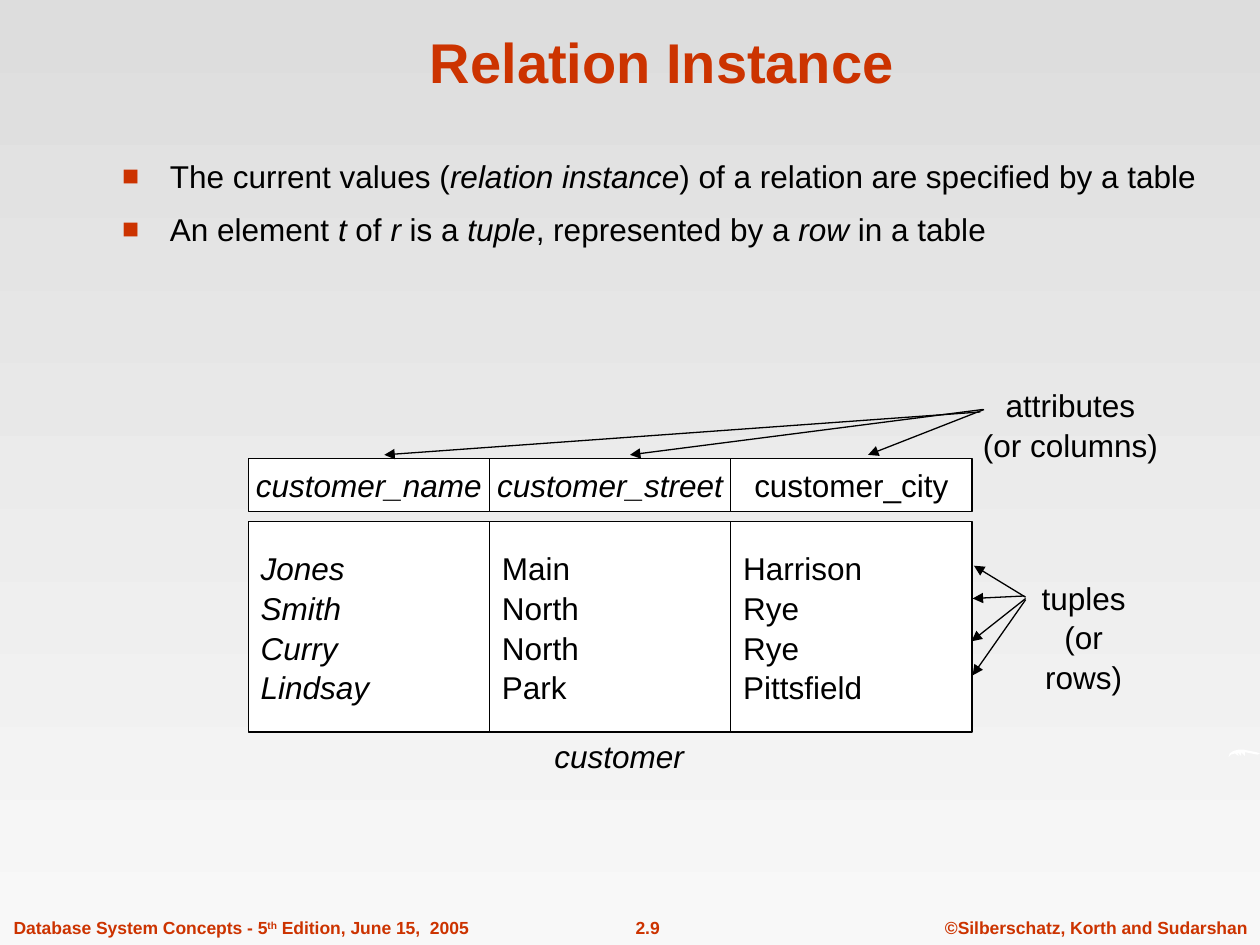
from dataclasses import dataclass

from lxml import etree
from pptx import Presentation, util as u
from pptx.dml.color import RGBColor
from pptx.enum import shapes, text
from pptx.oxml.ns import qn


@dataclass(frozen=True)
class Theme:
    font: str = "Arial"
    accent: RGBColor = RGBColor(0xCC, 0x33, 0x00)
    ink: RGBColor = RGBColor(0, 0, 0)
    paper: RGBColor = RGBColor(255, 255, 255)
    top: RGBColor = RGBColor(0xDD, 0xDD, 0xDD)
    bottom: RGBColor = RGBColor(0xF8, 0xF8, 0xF8)
    title_size: int = 32
    body_size: int = 18
    footer_size: int = 10
    line_width: float = 0.75
    spacing: float = 1.05


THEME = Theme()
BODY = {"size": u.Pt(THEME.body_size), "color": THEME.ink}
ITALIC = {**BODY, "italic": True}
TITLE = {"size": u.Pt(THEME.title_size), "color": THEME.accent, "bold": True}
FOOTER = {**TITLE, "size": u.Pt(THEME.footer_size)}
CENTER = text.PP_ALIGN.CENTER
LEFT = text.PP_ALIGN.LEFT
MIDDLE = text.MSO_ANCHOR.MIDDLE

COLUMNS = [
    ("customer_name", ["Jones", "Smith", "Curry", "Lindsay"], ITALIC, ITALIC),
    ("customer_street", ["Main", "North", "North", "Park"], ITALIC, BODY),
    ("customer_city", ["Harrison", "Rye", "Rye", "Pittsfield"], BODY, BODY),
]
TABLE_LEFT, COLUMN_WIDTH = 1.97, 1.915
ARROWS = [
    (7.78, 3.27, 3.05, 3.61),
    (7.8, 3.25, 5, 3.61),
    (7.81, 3.25, 6.89, 3.61),
    (8.14, 4.74, 7.73, 4.49),
    (8.13, 4.73, 7.72, 4.75),
    (8.14, 4.75, 7.71, 5.09),
    (8.14, 4.76, 7.72, 5.36),
]
BULLETS = [
    [("The current values (", BODY), ("relation instance", ITALIC),
     (") of a relation are specified by a table", BODY)],
    [("An element ", BODY), ("t", ITALIC), (" of ", BODY), ("r", ITALIC),
     (" is a ", BODY), ("tuple", ITALIC), (", represented by a ", BODY),
     ("row ", ITALIC), ("in a table", BODY)],
]
SWOOSH = [
    (9.75, 6.01), (9.76, 5.98), (9.79, 5.96), (9.83, 5.95), (9.87, 5.95),
    (9.92, 5.96), (9.97, 5.97), (10, 5.98), (9.98, 5.99), (9.93, 5.98),
    (9.88, 5.97), (9.88, 6), (9.85, 5.97), (9.85, 6), (9.82, 5.97),
    (9.83, 6), (9.8, 5.98), (9.77, 5.99),
]


def inches(*lengths):
    return [u.Inches(length) for length in lengths]


def add_run(paragraph, words, style):
    run = paragraph.add_run()
    run.text = words
    run.font.name = THEME.font
    for name, value in style.items():
        if name == "color":
            run.font.color.rgb = value
        else:
            setattr(run.font, name, value)
    return run


def write_lines(shape, lines, style, alignment=CENTER, **frame_format):
    frame = shape.text_frame
    for name, value in {"word_wrap": False, **frame_format}.items():
        setattr(frame, name, value)
    for index, line in enumerate(lines):
        paragraph = frame.add_paragraph() if index else frame.paragraphs[0]
        paragraph.alignment = alignment
        if len(lines) > 1:
            paragraph.line_spacing = THEME.spacing
        add_run(paragraph, line, style)
    return frame


def add_label(slide, box, lines, style, **layout):
    textbox = slide.shapes.add_textbox(*inches(*box))
    return write_lines(textbox, lines, style, **layout)


def add_cell(slide, box, lines, style, alignment):
    shape = slide.shapes.add_shape(shapes.MSO_SHAPE.RECTANGLE, *inches(*box))
    shape.shadow.inherit = False
    shape.fill.solid()
    shape.fill.fore_color.rgb = THEME.paper
    shape.line.color.rgb = THEME.ink
    shape.line.width = u.Pt(THEME.line_width)
    write_lines(shape, lines, style, alignment, vertical_anchor=MIDDLE)


def add_arrow(slide, ends):
    connector = slide.shapes.add_connector(
        shapes.MSO_CONNECTOR.STRAIGHT, *inches(*ends))
    connector.line.color.rgb = THEME.ink
    connector.line.width = u.Pt(THEME.line_width)
    etree.SubElement(connector.line._get_or_add_ln(), qn("a:tailEnd"),
                     type="triangle")
    etree.SubElement(connector._element.spPr, qn("a:effectLst"))


def add_bullet_marker(paragraph):
    properties = paragraph._p.get_or_add_pPr()
    indent = u.Inches(0.38)
    properties.set("marL", str(indent))
    properties.set("indent", str(-indent))
    color = etree.SubElement(properties, qn("a:buClr"))
    etree.SubElement(color, qn("a:srgbClr"), val=str(THEME.accent))
    etree.SubElement(properties, qn("a:buSzPct"), val="90000")
    etree.SubElement(properties, qn("a:buFont"), typeface=THEME.font)
    etree.SubElement(properties, qn("a:buChar"), char="■")


def add_bullets(slide, box, items):
    frame = slide.shapes.add_textbox(*inches(*box)).text_frame
    frame.word_wrap = True
    for index, runs in enumerate(items):
        paragraph = frame.add_paragraph() if index else frame.paragraphs[0]
        paragraph.line_spacing = THEME.spacing
        if index:
            paragraph.space_before = u.Pt(7.9)
        add_bullet_marker(paragraph)
        for words, style in runs:
            add_run(paragraph, words, style)


def add_swoosh(slide):
    start, *rest = [inches(*point) for point in SWOOSH]
    builder = slide.shapes.build_freeform(*start)
    builder.add_line_segments(rest, close=True)
    shape = builder.convert_to_shape()
    shape.shadow.inherit = False
    shape.fill.solid()
    shape.fill.fore_color.rgb = THEME.paper
    shape.line.fill.background()


def add_background(slide):
    fill = slide.background.fill
    fill.gradient()
    fill.gradient_angle = 270
    for stop, color in zip(fill.gradient_stops, (THEME.top, THEME.bottom)):
        stop.color.rgb = color


def add_footer(slide):
    add_label(slide, (7.4, 7.23, 2.6, 0.27),
              ["©Silberschatz, Korth and Sudarshan"], FOOTER)
    add_label(slide, (4.65, 7.23, 0.98, 0.27), ["2.9"], FOOTER)
    frame = add_label(slide, (0.01, 7.23, 3.81, 0.27),
                      ["Database System Concepts - 5"], FOOTER, alignment=LEFT)
    ordinal = add_run(frame.paragraphs[0], "th", FOOTER)
    ordinal._r.get_or_add_rPr().set("baseline", "30000")
    add_run(frame.paragraphs[0], " Edition, June 15,  2005", FOOTER)


def add_relation(slide):
    for index, (header, values, header_style, style) in enumerate(COLUMNS):
        left = TABLE_LEFT + index * COLUMN_WIDTH
        add_cell(slide, (left, 4.14, COLUMN_WIDTH, 1.67), values, style, LEFT)
        add_cell(slide, (left, 3.64, COLUMN_WIDTH, 0.42), [header],
                 header_style, CENTER)


def main():
    presentation = Presentation()
    presentation.slide_width, presentation.slide_height = inches(10, 7.5)
    slide = presentation.slides.add_slide(presentation.slide_layouts[6])
    add_background(slide)
    add_footer(slide)
    add_swoosh(slide)
    add_label(slide, (0.84, 0.13, 8.83, 0.67), ["Relation Instance"], TITLE,
              word_wrap=True, vertical_anchor=text.MSO_ANCHOR.BOTTOM)
    add_bullets(slide, (0.87, 1.18, 8.79, 1.4), BULLETS)
    add_relation(slide)
    add_label(slide, (4.3, 5.8, 1.23, 0.4), ["customer"], ITALIC,
              vertical_anchor=MIDDLE)
    add_label(slide, (7.7, 3, 1.59, 0.7), ["attributes", "(or columns)"], BODY)
    add_label(slide, (8.01, 4.53, 1.18, 0.7), ["tuples", "(or rows)"], BODY)
    for ends in ARROWS:
        add_arrow(slide, ends)
    presentation.save("out.pptx")


if __name__ == "__main__":
    main()
